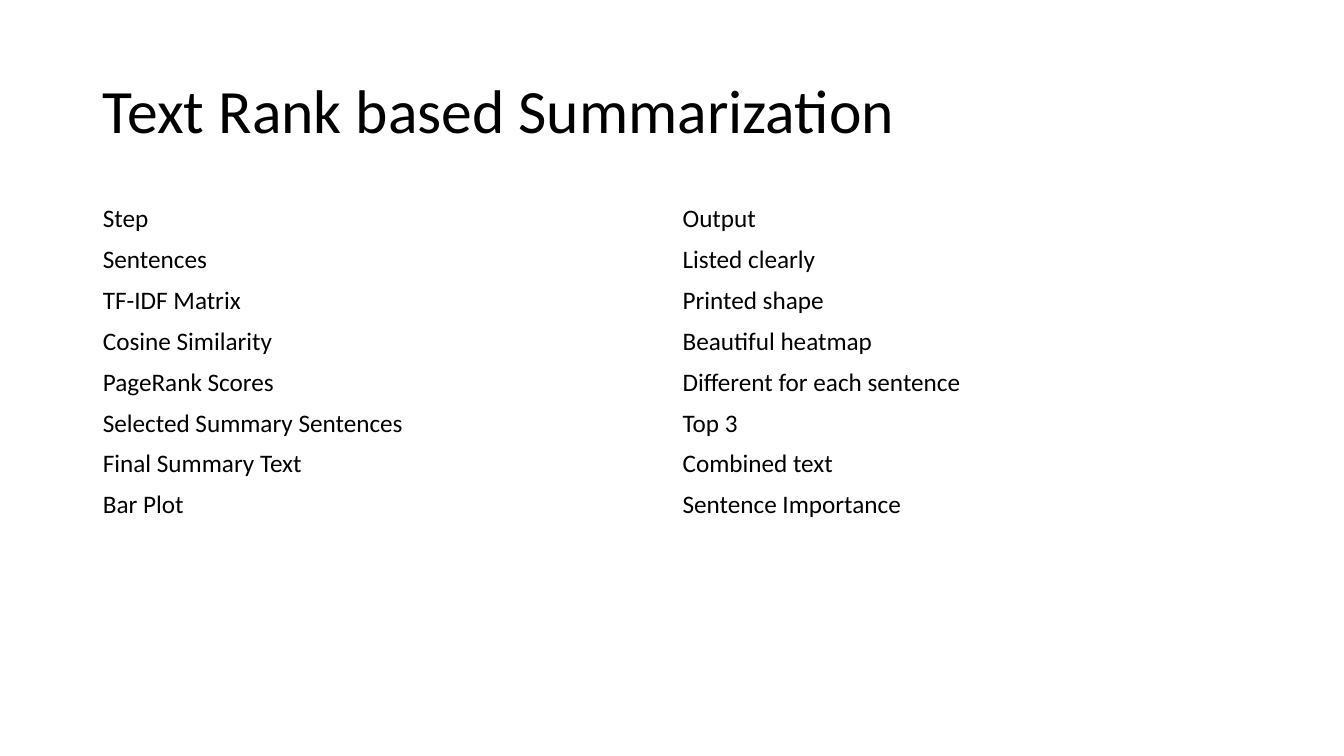
from pptx import Presentation
from pptx.dml.color import RGBColor
from pptx.enum.text import MSO_ANCHOR, MSO_AUTO_SIZE, PP_ALIGN
from pptx.util import Inches, Pt

COLORS = {"text": "000000", "back": "FFFFFF"}
FONT = {"name": "Calibri", "bold": False}
ROWS = [
    ("Step", "Output"),
    ("Sentences", "Listed clearly"),
    ("TF-IDF Matrix", "Printed shape"),
    ("Cosine Similarity", "Beautiful heatmap"),
    ("PageRank Scores", "Different for each sentence"),
    ("Selected Summary Sentences", "Top 3"),
    ("Final Summary Text", "Combined text"),
    ("Bar Plot", "Sentence Importance"),
]


def apply(item, values):
    for name, value in values.items():
        setattr(item, name, value)


def write(frame, text, size, **layout):
    """Put one formatted paragraph into a text frame."""
    frame.text = text
    line = frame.paragraphs[0]
    apply(line, {"alignment": PP_ALIGN.LEFT, **layout})
    font = line.runs[0].font
    apply(font, {**FONT, "size": Pt(size)})
    font.color.rgb = RGBColor.from_string(COLORS["text"])


def add_title(slide, box, text):
    title = slide.shapes.title
    apply(title, dict(zip(("left", "top", "width", "height"), box)))
    frame = title.text_frame
    apply(frame, {"vertical_anchor": MSO_ANCHOR.MIDDLE, "word_wrap": True,
                  "auto_size": MSO_AUTO_SIZE.NONE})
    write(frame, text, 44, line_spacing=0.9)


def add_steps(slide, box, rows):
    """Fill the box with a plain table of steps and outputs."""
    table = slide.shapes.add_table(len(rows), len(rows[0]), *box).table
    apply(table, {"first_row": False, "horz_banding": False})
    for r, row in enumerate(rows):
        for c, text in enumerate(row):
            cell = table.cell(r, c)
            cell.fill.background()
            cell.vertical_anchor = MSO_ANCHOR.MIDDLE
            write(cell.text_frame, text, 18)


def main():
    deck = Presentation()
    apply(deck, {"slide_width": Inches(13.33), "slide_height": Inches(7.5)})
    slide = deck.slides.add_slide(deck.slide_layouts[5])
    fill = slide.background.fill
    fill.solid()
    fill.fore_color.rgb = RGBColor.from_string(COLORS["back"])
    left, width = Inches(0.92), Inches(11.5)
    add_title(slide, (left, Inches(0.4), width, Inches(1.45)),
              "Text Rank based Summarization")
    add_steps(slide, (left, Inches(1.97), width, Inches(3.2)), ROWS)
    deck.save("out.pptx")


if __name__ == "__main__":
    main()
